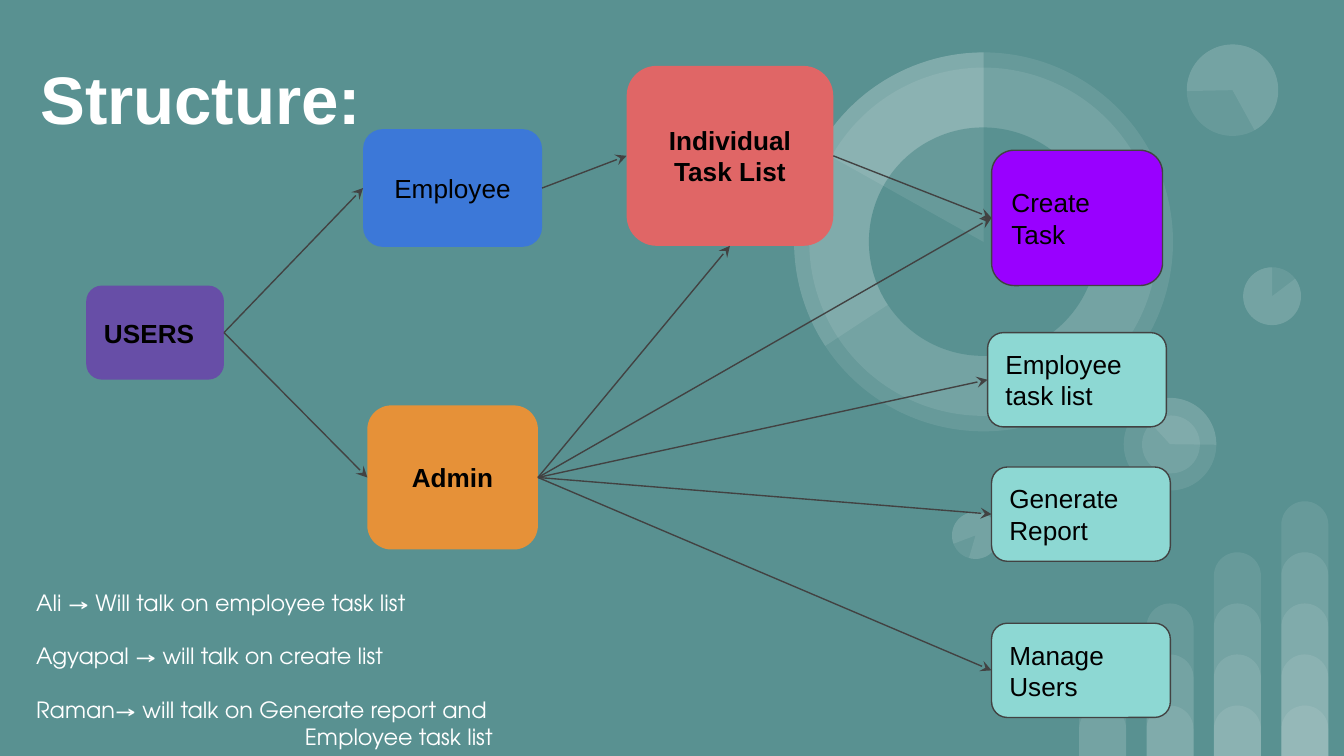
from typing import NamedTuple

from lxml import etree
from pptx import Presentation
from pptx.dml import color, fill as fills
from pptx.enum import shapes, text
from pptx.oxml.ns import qn
from pptx.shapes import autoshape as auto, shapetree as tree
from pptx.util import Pt

KIND = shapes.MSO_SHAPE
BACK, WHITE, BLACK, GREY, TEAL = "599191", "FFFFFF", "000000", "424242", "8DD8D3"
SANS, ROUND = "Arial", "TeX Gyre Adventor"
TOP, LEFT, BOTTOM, RIGHT = range(4)  # connection sites of a box
WIDE, HIGH = 720, 405


class Disc(NamedTuple):
    x: float
    y: float
    size: float
    turn: float = 0
    cut: tuple = ()
    hole: bool = False


class Node(NamedTuple):
    label: str
    x: float
    y: float
    w: float
    h: float
    fill: str
    bold: bool = False
    mid: bool = False
    edge: bool = False


class Link(NamedTuple):
    start: str
    end: str
    site: int = LEFT


BIG, RING, SMALL = (425.4, 28.1, 203), (602, 213.2, 49.6), (510, 274.2, 25.2)
CLOCK, DOT = (635.8, 23.8, 49), (666, 143.2, 31)
DISCS = [
    Disc(*DOT),
    Disc(*SMALL, 196.2),
    Disc(*RING, 90),
    Disc(*RING, 90, (82.45, 162.46)),
    Disc(611.8, 222.6, 31, 90),
    Disc(*DOT, 0, (193.77, 162)),
    Disc(*CLOCK, 215.9),
    Disc(*CLOCK, 215.9, (193.77, 123.14)),
    Disc(*BIG),
    Disc(433.5, 36.2, 186.6, 34.1),
    Disc(*BIG, 0, (88.01, 162)),
    Disc(465.5, 68.3, 122.4, 34.1, hole=True),
    Disc(*BIG, 0, (125.54, 162)),
    Disc(*SMALL, 196.2, (193.77, 162)),
]

NODES = [
    Node("USERS", 46.2, 153, 73.8, 50.4, "674EA7", bold=True),
    Node("Individual Task List", 335.7, 35.3, 110.7, 96.4, "E06666", bold=True, mid=True),
    Node("Admin", 196.8, 217.2, 91.4, 77.2, "E69138", bold=True, mid=True),
    Node("Employee", 194.5, 69.2, 95.9, 63.1, "3C78D8", mid=True),
    Node("Create Task", 531.2, 80.5, 91.6, 72.5, "9900FF", edge=True),
    Node("Employee task list", 529.1, 178.2, 95.8, 50.5, TEAL, edge=True),
    Node("Generate Report", 531.2, 250.2, 95.8, 50.5, TEAL, edge=True),
    Node("Manage Users", 531.2, 333.9, 95.8, 50.5, TEAL, edge=True),
]

LINKS = [
    Link("USERS", "Employee"),
    Link("USERS", "Admin"),
    Link("Employee", "Individual Task List"),
    Link("Individual Task List", "Create Task"),
    Link("Admin", "Individual Task List", BOTTOM),
    Link("Admin", "Create Task"),
    Link("Admin", "Employee task list"),
    Link("Admin", "Generate Report"),
    Link("Admin", "Manage Users"),
]

NOTES = [
    "Ali → Will talk on employee task list",
    "Agyapal → will talk on create list",
    "Raman→ will talk on Generate report and",
    "Employee task list",
]


def rgb(code: str) -> color.RGBColor:
    return color.RGBColor.from_string(code)


def paint(fill: fills.FillFormat, code: str) -> None:
    fill.solid()
    fill.fore_color.rgb = rgb(code)


def place(shape: auto.Shape, x: float, y: float, w: float, h: float) -> None:
    shape.left, shape.top, shape.width, shape.height = Pt(x), Pt(y), Pt(w), Pt(h)


def add_form(items: tree.SlideShapes, kind: KIND, x: float, y: float,
             w: float, h: float, code: str) -> auto.Shape:
    """Add a flat shape with no line and no shadow."""
    form = items.add_shape(kind, Pt(x), Pt(y), Pt(w), Pt(h))
    form.shadow.inherit = False
    form.line.fill.background()
    paint(form.fill, code)
    return form


def fade(form: auto.Shape) -> None:
    """Make the fill nine percent opaque."""
    tint = form._element.spPr.find(qn("a:solidFill"))[0]
    etree.SubElement(tint, qn("a:alpha"), val="9000")


def style(frame: text.MSO_ANCHOR, size: float, font: str, code: str,
          bold: bool = False, mid: bool = False, top: bool = False) -> None:
    """Format every run of a text frame and set its insets."""
    frame.word_wrap = True
    frame.auto_size = text.MSO_AUTO_SIZE.NONE
    frame.vertical_anchor = text.MSO_ANCHOR.TOP if top else text.MSO_ANCHOR.MIDDLE
    frame.margin_left = frame.margin_right = Pt(7.2)
    frame.margin_top = frame.margin_bottom = Pt(7.2)
    for para in frame.paragraphs:
        para.alignment = text.PP_ALIGN.CENTER if mid else text.PP_ALIGN.LEFT
        para.space_before = Pt(0)
        for run in para.runs:
            run.font.size, run.font.name, run.font.bold = Pt(size), font, bold
            run.font.color.rgb = rgb(code)


def add_bars(items: tree.SlideShapes) -> None:
    """Stack see-through bars, one more in each column to the right."""
    for col in range(4):
        for step in range(col + 2):
            tall = 27 + 27.36 * step
            bar = add_form(items, KIND.ROUND_2_SAME_RECTANGLE,
                           578.1 + 36.1 * col, HIGH - tall, 25.2, tall, WHITE)
            bar.adjustments[0], bar.adjustments[1] = 0.5, 0
            fade(bar)


def add_disc(items: tree.SlideShapes, disc: Disc) -> None:
    form = add_form(items, KIND.PIE if disc.cut else KIND.OVAL, disc.x, disc.y,
                    disc.size, disc.size, BACK if disc.hole else WHITE)
    form.rotation = disc.turn
    for i, angle in enumerate(disc.cut):
        form.adjustments[i] = angle
    if not disc.hole:
        fade(form)


def add_node(items: tree.SlideShapes, node: Node) -> auto.Shape:
    box = add_form(items, KIND.ROUNDED_RECTANGLE, node.x, node.y, node.w, node.h, node.fill)
    if node.edge:
        paint(box.line.fill, GREY)
        box.line.width = Pt(0.75)
    box.text_frame.text = node.label
    style(box.text_frame, 14, SANS, BLACK, node.bold, node.mid)
    return box


def add_link(items: tree.SlideShapes, start: auto.Shape, end: auto.Shape, site: int) -> None:
    line = items.add_connector(shapes.MSO_CONNECTOR.STRAIGHT, 0, 0, 0, 0)
    line.begin_connect(start, RIGHT)
    line.end_connect(end, site)
    paint(line.line.fill, GREY)
    line.line.width = Pt(0.75)
    props = line._element.spPr
    etree.SubElement(props.find(qn("a:ln")), qn("a:tailEnd"), type="stealth")
    etree.SubElement(props, qn("a:effectLst"))


def main() -> None:
    deck = Presentation()
    deck.slide_width, deck.slide_height = Pt(WIDE), Pt(HIGH)
    slide = deck.slides.add_slide(deck.slide_layouts[0])
    paint(slide.background.fill, BACK)
    items = slide.shapes

    title, notes = slide.placeholders
    place(title, 14.4, 18, 683.3, 68.4)
    title.text_frame.text = "Structure:"
    style(title.text_frame, 36, SANS, WHITE, bold=True)

    place(notes, 12.2, 308.2, 334.8, 96.5)
    notes.text_frame.text = "\n".join(NOTES)
    style(notes.text_frame, 12, ROUND, WHITE, top=True)
    paras = notes.text_frame.paragraphs
    for para in paras[1:3]:
        para.space_before = Pt(14.3)
    paras[-1]._p.get_or_add_pPr().set("marL", str(Pt(144)))

    add_bars(items)
    for disc in DISCS:
        add_disc(items, disc)
    boxes = {node.label: add_node(items, node) for node in NODES}
    for link in LINKS:
        add_link(items, boxes[link.start], boxes[link.end], link.site)
    deck.save("out.pptx")


if __name__ == "__main__":
    main()
